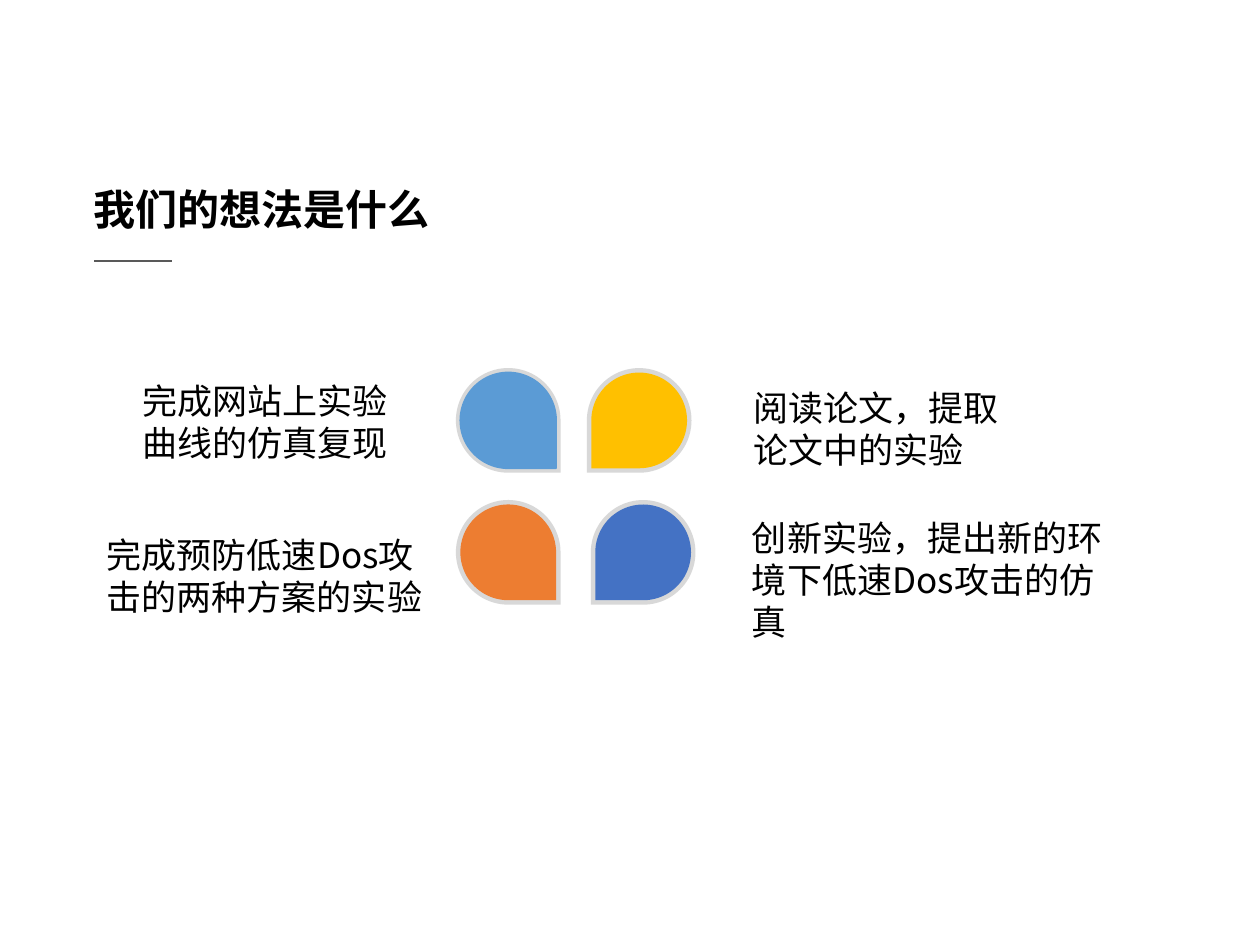
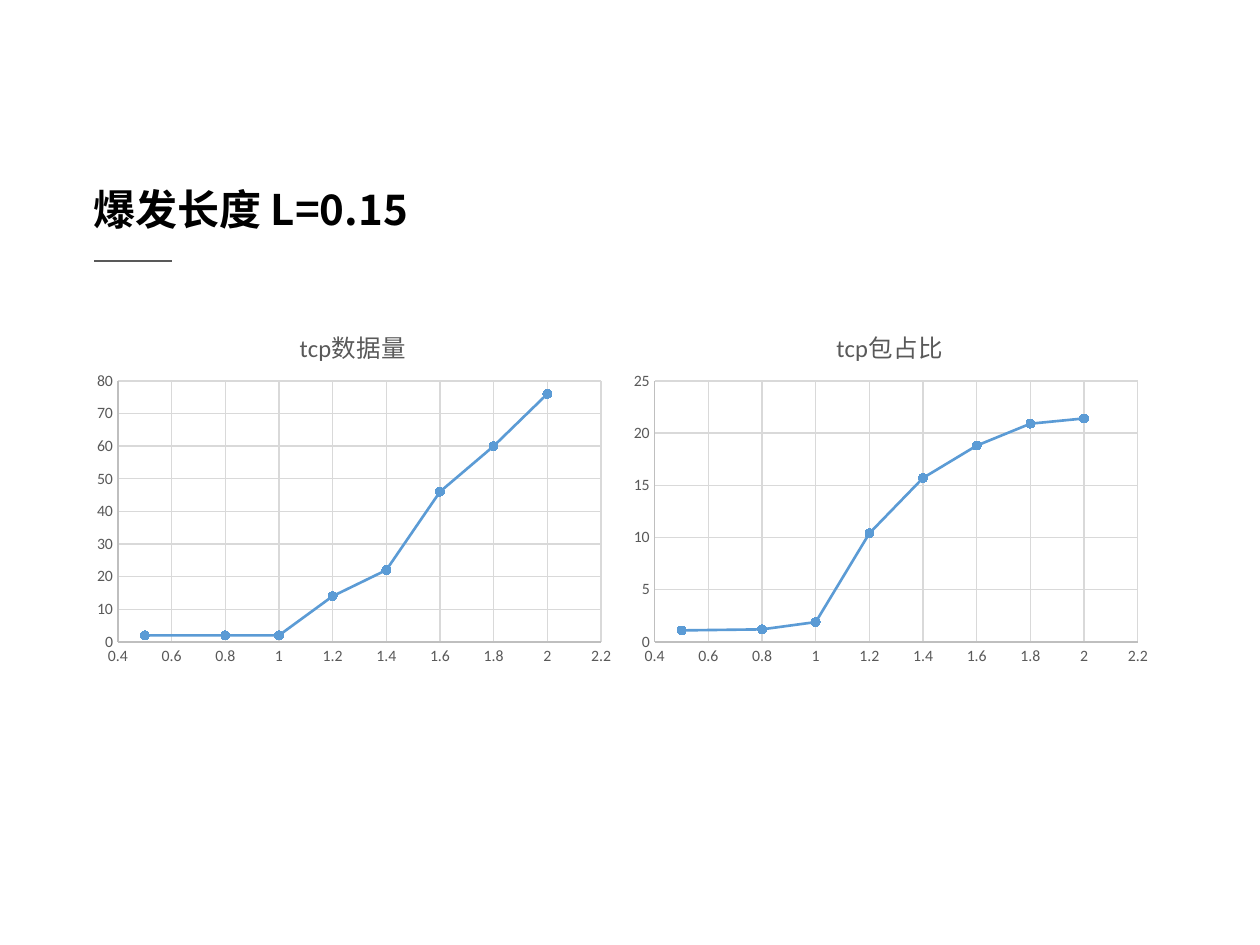
import dataclasses

import lxml.etree
import pptx
import pptx.chart.data
import pptx.dml.color
import pptx.enum.chart
import pptx.enum.shapes
import pptx.enum.text
import pptx.oxml.ns
import pptx.util

Cm = pptx.util.Cm
Pt = pptx.util.Pt
qn = pptx.oxml.ns.qn


@dataclasses.dataclass(frozen=True)
class Theme:
    text: str = "000000"
    muted: str = "595959"
    axis: str = "BFBFBF"
    grid: str = "D9D9D9"
    blue: str = "5B9BD5"
    orange: str = "ED7D31"
    yellow: str = "FFC000"
    indigo: str = "4472C4"
    font: str = "Noto Sans CJK SC"
    chart_font: str = "Calibri"
    title_size: int = 24
    body_size: int = 20
    chart_title_size: int = 14
    chart_size: int = 10
    tick_size: int = 9
    hairline: float = 0.75


THEME = Theme()


def rgb(color):
    return pptx.dml.color.RGBColor.from_string(color)


def set_font(font, name, size, color, bold=False):
    font.name = name
    font.size = Pt(size)
    font.bold = bold
    font.color.rgb = rgb(color)


def set_line(line, color, width):
    line.color.rgb = rgb(color)
    line.width = Pt(width)


def add_text(s, box, text, size, bold=False, insets=(0.25, 0.13)):
    sp = s.shapes.add_textbox(*map(Cm, box))
    tf = sp.text_frame
    tf.word_wrap = True
    tf.auto_size = pptx.enum.text.MSO_AUTO_SIZE.SHAPE_TO_FIT_TEXT
    tf.margin_left = tf.margin_right = Cm(insets[0])
    tf.margin_top = tf.margin_bottom = Cm(insets[1])
    p = tf.paragraphs[0]
    p.text = text
    set_font(p.font, THEME.font, size, THEME.text, bold)
    latin = p._p.pPr.find(".//" + qn("a:latin"))
    ea = lxml.etree.Element(qn("a:ea"), typeface=THEME.font)
    latin.addnext(ea)


def add_heading(s, text, x=1.73, y=3.61):
    add_text(s, (x, y, 16.56, 1.17), text, THEME.title_size, True, (0.15, 0.08))
    left, top = x + 0.17, y + 1.65
    rule = s.shapes.add_connector(
        pptx.enum.shapes.MSO_CONNECTOR.STRAIGHT,
        Cm(left), Cm(top), Cm(left + 1.56), Cm(top),
    )
    set_line(rule.line, THEME.muted, THEME.hairline)
    lxml.etree.SubElement(rule._element.spPr, qn("a:effectLst"))


def add_teardrop(s, x, y, size, rotation, color):
    sp = s.shapes.add_shape(
        pptx.enum.shapes.MSO_SHAPE.TEAR, Cm(x), Cm(y), Cm(size), Cm(size)
    )
    sp.rotation = rotation
    sp.shadow.inherit = False
    sp.fill.solid()
    sp.fill.fore_color.rgb = rgb(color)
    sp.line.fill.background()
    return sp


def add_petal(s, x, y, rotation, color, outlined=False):
    size, rim = 2.11, 0.09
    halo = add_teardrop(s, x, y, size, rotation, THEME.axis)
    fill_color = halo._element.spPr.find(".//" + qn("a:srgbClr"))
    lxml.etree.SubElement(fill_color, qn("a:alpha"), val="60000")
    core = add_teardrop(s, x + rim, y + rim, size - 2 * rim, rotation, color)
    if outlined:
        set_line(core.line, color, 1)


def add_manual_layout(parent, index, **places):
    old = parent.find(qn("c:layout"))
    if old is not None:
        parent.remove(old)
    layout = lxml.etree.Element(qn("c:layout"))
    manual = lxml.etree.SubElement(layout, qn("c:manualLayout"))
    for tag, value in places.items():
        lxml.etree.SubElement(manual, qn("c:" + tag), val=str(value))
    parent.insert(index, layout)


def style_axis(axis, low, high, step):
    axis.minimum_scale, axis.maximum_scale = low, high
    axis.major_unit = step
    axis.major_tick_mark = pptx.enum.chart.XL_TICK_MARK.NONE
    axis.minor_tick_mark = pptx.enum.chart.XL_TICK_MARK.NONE
    axis.has_major_gridlines = True
    set_line(axis.major_gridlines.format.line, THEME.grid, THEME.hairline)
    set_line(axis.format.line, THEME.axis, THEME.hairline)
    set_font(axis.tick_labels.font, THEME.chart_font, THEME.tick_size, THEME.muted)


def add_curve_chart(s, box, title, periods, values, top, step):
    data = pptx.chart.data.XyChartData()
    points = data.add_series("Series 1")
    for period, value in zip(periods, values):
        points.add_data_point(period, value)
    chart = s.shapes.add_chart(
        pptx.enum.chart.XL_CHART_TYPE.XY_SCATTER_SMOOTH, *map(Cm, box), data
    ).chart
    set_font(chart.font, THEME.chart_font, THEME.chart_size, THEME.text)
    chart.has_legend = False
    p = chart.chart_title.text_frame.paragraphs[0]
    p.text = title
    set_font(p.font, THEME.chart_font, THEME.chart_title_size, THEME.muted)
    chart.chart_title.include_in_layout = False

    chart.plots[0].vary_by_categories = False
    style_axis(chart.category_axis, 0.4, 2.2, 0.2)
    style_axis(chart.value_axis, 0, top, step)
    curve = chart.plots[0].series[0]
    set_line(curve.format.line, THEME.blue, 1.5)
    curve.smooth = True if hasattr(curve, "smooth") else None
    curve.marker.style = pptx.enum.chart.XL_MARKER_STYLE.CIRCLE
    curve.marker.size = 5
    curve.marker.format.fill.solid()
    curve.marker.format.fill.fore_color.rgb = rgb(THEME.blue)
    set_line(curve.marker.format.line, THEME.blue, THEME.hairline)

    root = chart._chartSpace
    add_manual_layout(
        root.find(".//" + qn("c:title")), 1,
        xMode="edge", yMode="edge", x=0.39, y=0.05,
    )
    add_manual_layout(
        root.find(".//" + qn("c:plotArea")), 0,
        layoutTarget="inner", xMode="edge", yMode="edge",
        x=0.06, y=0.21, w=0.9, h=0.7,
    )


def build_ideas(s):
    add_heading(s, "我们的想法是什么")
    left, upper, lower = 9.19, 7.42, 10.08
    add_petal(s, left, upper, 90, THEME.blue, outlined=True)
    add_petal(s, left, lower, 90, THEME.orange)
    add_petal(s, left + 2.64, upper, 180, THEME.yellow)
    add_petal(s, left + 2.72, lower, 180, THEME.indigo)
    ideas = (
        ((2.62, 7.52, 5.66, 1.96), "完成网站上实验曲线的仿真复现"),
        ((1.9, 10.62, 7.19, 2.82), "完成预防低速Dos攻击的两种方案的实验"),
        ((14.91, 10.29, 7.87, 2.82), "创新实验，提出新的环境下低速Dos攻击的仿真"),
        ((14.94, 7.67, 5.64, 1.96), "阅读论文，提取论文中的实验"),
    )
    for box, text in ideas:
        add_text(s, box, text, THEME.body_size)


def build_burst_length(s):
    add_heading(s, "爆发长度 L=0.15")
    periods = (0.5, 0.8, 1, 1.2, 1.4, 1.6, 1.8, 2)
    charts = (
        ("tcp数据量", (2, 2, 2, 14, 22, 46, 60, 76), 80, 10),
        ("tcp包占比", (1.1, 1.2, 1.9, 10.4, 15.7, 18.8, 20.9, 21.4), 25, 5),
    )
    width = 10.82
    for i, (title, values, top, step) in enumerate(charts):
        box = (1.73 + i * width, 6.1, width, 7.52)
        add_curve_chart(s, box, title, periods, values, top, step)


def main():
    prs = pptx.Presentation()
    prs.slide_width, prs.slide_height = Cm(25.4), Cm(19.05)
    for build in (build_ideas, build_burst_length):
        build(prs.slides.add_slide(prs.slide_layouts[6]))
    prs.save("out.pptx")


if __name__ == "__main__":
    main()
